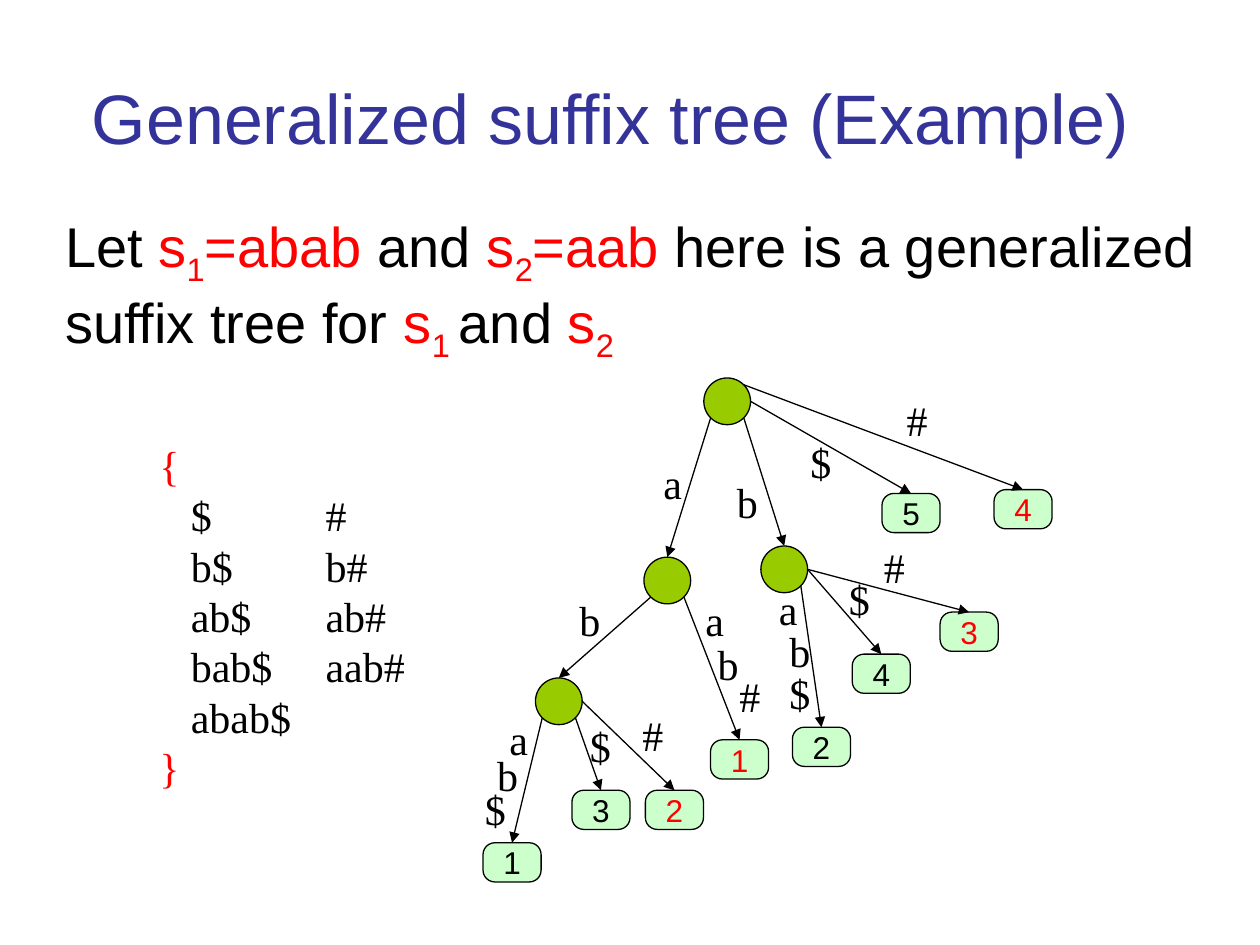
import pptx
import pptx.util
import pptx.dml.color
import pptx.enum.shapes
import pptx.enum.text
from lxml import etree

Pt = pptx.util.Pt
RGB = pptx.dml.color.RGBColor.from_string
SHAPE = pptx.enum.shapes.MSO_SHAPE
LINE = pptx.enum.shapes.MSO_CONNECTOR
ALIGN = pptx.enum.text.PP_ALIGN
ANCHOR = pptx.enum.text.MSO_ANCHOR
FIT = pptx.enum.text.MSO_AUTO_SIZE
NS = "http://schemas.openxmlformats.org/drawingml/2006/main"
HUES = {"title": "333399", "text": "000000", "red": "FF0000",
        "node": "99CC00", "leaf": "CCFFCC", "line": "000000"}
FONTS = {
    "title": {"name": "Arial", "size": Pt(40)},
    "body": {"name": "Arial", "size": Pt(32)},
    "leaf": {"name": "Arial", "size": Pt(18)},
    "label": {"name": "Times New Roman", "size": Pt(24)},
}


def write(para, text, style, hue="text"):
    run = para.add_run()
    run.text = text
    for key, value in FONTS[style].items():
        setattr(run.font, key, value)
    run.font.color.rgb = RGB(HUES[hue])
    return run


def draw(kind, box, fill):
    """Add a filled, outlined shape of the tree."""
    shape = slide.shapes.add_shape(kind, *map(Pt, box))
    shape.shadow.inherit = False
    shape.fill.solid()
    shape.fill.fore_color.rgb = RGB(HUES[fill])
    shape.line.color.rgb = RGB(HUES["line"])
    shape.line.width = Pt(0.75)
    return shape


deck = pptx.Presentation()
deck.slide_width, deck.slide_height = Pt(720), Pt(540)
slide = deck.slides.add_slide(deck.slide_layouts[1])

# Title and body
title, body = slide.placeholders
for holder, box in ((title, (36, 21.6, 648, 90)), (body, (30, 117, 666, 84.2))):
    holder.left, holder.top, holder.width, holder.height = map(Pt, box)
    holder.text_frame.word_wrap = True
title.text_frame.auto_size = FIT.NONE
title.text_frame.vertical_anchor = ANCHOR.MIDDLE
title.text_frame.margin_right = Pt(30)
para = title.text_frame.paragraphs[0]
para.alignment = ALIGN.CENTER
write(para, "Generalized suffix tree (Example)", "title", "title")

body.text_frame.auto_size = FIT.SHAPE_TO_FIT_TEXT
body.text_frame.vertical_anchor = ANCHOR.TOP
para = body.text_frame.paragraphs[0]
para.space_before = Pt(0)
props = para._p.get_or_add_pPr()
props.set("marL", "0")
props.set("indent", "0")
etree.SubElement(props, f"{{{NS}}}buNone")
for text, hue, sub in (
    ("Let ", "text", False), ("s", "red", False), ("1", "red", True),
    ("=abab ", "red", False), ("and ", "text", False), ("s", "red", False),
    ("2", "red", True), ("=aab", "red", False),
    (" here is a generalized suffix tree for ", "text", False),
    ("s", "red", False), ("1 ", "red", True), ("and ", "text", False),
    ("s", "red", False), ("2", "red", True),
):
    run = write(para, text, "body", hue)
    if sub:
        run._r.get_or_add_rPr().set("baseline", "-25000")

# Suffixes of both strings, in two tabbed columns
frame = slide.shapes.add_textbox(Pt(84), Pt(247.5), Pt(183), Pt(209)).text_frame
frame.word_wrap = True
rows = ("{", "\t$\t#", "\tb$\tb#", "\tab$\tab#", "\tbab$\taab#", "\tabab$", "}")
for i, row in enumerate(rows):
    para = frame.paragraphs[0] if i == 0 else frame.add_paragraph()
    tabs = etree.SubElement(para._p.get_or_add_pPr(), f"{{{NS}}}tabLst")
    for stop in (18, 95):
        etree.SubElement(tabs, f"{{{NS}}}tab", pos=str(Pt(stop)), algn="l")
    write(para, row, "label", "red" if row in "{}" else "text")

# Inner nodes: left, top
SIZE = 26.7
spots = {"root": (402.2, 216), "a": (368, 318.4), "b": (434.8, 312), "ab": (306, 387.4)}
nodes = {name: draw(SHAPE.OVAL, (*spot, SIZE, SIZE), "node")
         for name, spot in spots.items()}

# Leaves: left, top, number, colour, parent, side of the parent
leaves = (
    (504, 282, "5", "text", "root", "right"),
    (568, 279.8, "4", "red", "root", "upper"),
    (537.2, 349.8, "3", "red", "b", "right"),
    (487, 373.8, "4", "text", "b", "right"),
    (452.8, 415.6, "2", "text", "b", "lower"),
    (406, 422.8, "1", "red", "a", "lower"),
    (368.8, 451.6, "2", "red", "ab", "right"),
    (326.8, 451.6, "3", "text", "ab", "lower"),
    (276, 481.6, "1", "text", "ab", "left"),
)
edges = [("root", "left", nodes["a"]), ("root", "lower", nodes["b"]),
         ("a", "left", nodes["ab"])]
for left, top, num, hue, parent, side in leaves:
    leaf = draw(SHAPE.ROUNDED_RECTANGLE, (left, top, 33.2, 22.4), "leaf")
    leaf.adjustments[0] = 0.3
    frame = leaf.text_frame
    frame.word_wrap = False
    frame.vertical_anchor = ANCHOR.MIDDLE
    para = frame.paragraphs[0]
    para.alignment = ALIGN.CENTER
    write(para, num, "leaf", hue)
    edges.append((parent, side, leaf))

# Edges start on the rim of a node and end at the top of its child
half = SIZE / 2
slant = half * 0.71
sides = {"left": (-slant, slant), "lower": (slant, slant),
         "upper": (slant, -slant), "right": (half, 0)}
for parent, side, child in edges:
    left, top = spots[parent]
    x, y = sides[side]
    edge = slide.shapes.add_connector(
        LINE.STRAIGHT, Pt(left + half + x), Pt(top + half + y), child.left, child.top)
    edge.end_connect(child, 0)
    edge.line.color.rgb = RGB(HUES["line"])
    edge.line.width = Pt(0.75)
    etree.SubElement(edge.line._get_or_add_ln(), f"{{{NS}}}tailEnd", type="triangle")
    etree.SubElement(edge._element.spPr, f"{{{NS}}}effectLst")

# Edge labels
for text, left, top in (
    ("a", 372, 258), ("b", 414, 268.5), ("$", 456, 246), ("#", 511, 222),
    ("b", 324, 336), ("a", 396, 336), ("b", 403, 361.5), ("#", 415.5, 379.5),
    ("a", 438, 330), ("b", 444, 354), ("$", 444, 378),
    ("$", 478, 324), ("#", 498, 306),
    ("a", 284, 404), ("b", 277, 425), ("$", 270, 444),
    ("$", 330, 408), ("#", 360, 402),
):
    frame = slide.shapes.add_textbox(Pt(left), Pt(top), Pt(30), Pt(36)).text_frame
    frame.word_wrap = True
    write(frame.paragraphs[0], text, "label")

deck.save("out.pptx")
